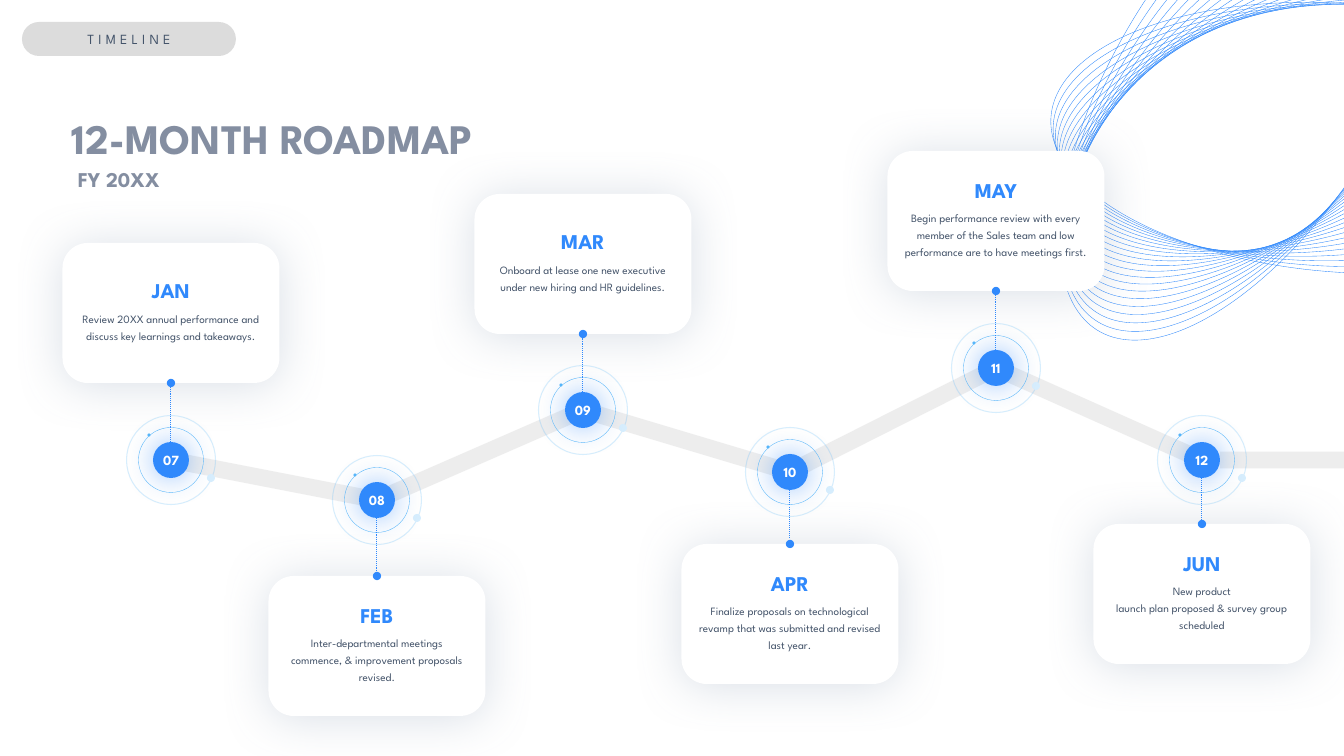
from math import atan2, degrees, hypot

from lxml.etree import SubElement
from pptx import Presentation
from pptx.dml.color import RGBColor
from pptx.enum.dml import MSO_LINE
from pptx.enum.shapes import MSO_CONNECTOR, MSO_SHAPE
from pptx.enum.text import MSO_ANCHOR as Anchor, MSO_AUTO_SIZE as AutoSize, PP_ALIGN as Align
from pptx.oxml.ns import qn
from pptx.util import Emu, Pt

EMU_PER_PX = 914400 / 100.8
FONT = "League Spartan"
BLUE = RGBColor(0x30, 0x89, 0xFC)
SKY = RGBColor(0x58, 0xB8, 0xFA)
PALE = RGBColor(0xD7, 0xEE, 0xFE)
SILVER = RGBColor(0xDC, 0xDC, 0xDC)
SLATE = RGBColor(0x44, 0x54, 0x6A)
HEADING = RGBColor(0x84, 0x8E, 0xA1)
HAZE = RGBColor(0x84, 0x97, 0xB0)
WHITE = RGBColor(0xFF, 0xFF, 0xFF)

CARD_WIDTH, CARD_HEIGHT = 217, 140
DISC = 36

# Number, marker centre x and y, card top, month, lines of text
STOPS = [
    ("07", 171, 460, 243, "JAN",
     ["Review 20XX annual performance and discuss key learnings and takeaways."]),
    ("08", 377, 500, 576, "FEB",
     ["Inter-departmental meetings commence, & improvement proposals revised."]),
    ("09", 583, 410, 194, "MAR",
     ["Onboard at lease one new executive under new hiring and HR guidelines."]),
    ("10", 790, 472, 544, "APR",
     ["Finalize proposals on technological revamp that was submitted and revised last year."]),
    ("11", 996, 368, 151, "MAY",
     ["Begin performance review with every member of the Sales team and low "
      "performance are to have meetings first."]),
    ("12", 1202, 460, 524, "JUN",
     ["New product", "launch plan proposed & survey group scheduled"]),
]


def px(length):
    return Emu(round(length * EMU_PER_PX))


def set_alpha(shape, percent):
    for color in shape.element.spPr.xpath(".//a:ln//a:srgbClr"):
        SubElement(color, qn("a:alpha"), val=str(percent * 1000))


def add_shadow(shape, color, percent, blur, distance=0, angle=0):
    effects = shape.element.spPr.find(qn("a:effectLst"))
    shadow = SubElement(effects, qn("a:outerShdw"), blurRad=str(Pt(blur)), dist=str(Pt(distance)),
                        dir=str(angle * 60000), algn="ctr", rotWithShape="0")
    tint = SubElement(shadow, qn("a:srgbClr"), val=str(color))
    SubElement(tint, qn("a:alpha"), val=str(percent * 1000))


def add_preset(shapes, kind, left, top, width, height, fill=None, line=None, weight=0.25):
    shape = shapes.add_shape(kind, px(left), px(top), px(width), px(height))
    shape.shadow.inherit = False
    if fill is None:
        shape.fill.background()
    else:
        shape.fill.solid()
        shape.fill.fore_color.rgb = fill
    if line is None:
        shape.line.fill.background()
    else:
        shape.line.color.rgb = line
        shape.line.width = Pt(weight)
    return shape


def add_circle(shapes, center_x, center_y, size, **style):
    return add_preset(shapes, MSO_SHAPE.OVAL, center_x - size / 2, center_y - size / 2,
                      size, size, **style)


def add_line(shapes, start, end, color, weight):
    line = shapes.add_connector(MSO_CONNECTOR.STRAIGHT, *map(px, (*start, *end)))
    line.line.color.rgb = color
    line.line.width = Pt(weight)
    SubElement(line.element.spPr, qn("a:effectLst"))
    return line


def prepare_frame(shape, side=0):
    frame = shape.text_frame
    frame.word_wrap = True
    frame.vertical_anchor = Anchor.MIDDLE
    frame.margin_left = frame.margin_right = px(side)
    frame.margin_top = frame.margin_bottom = 0
    return frame


def add_run(para, text, size, color, bold=False):
    run = para.add_run()
    run.text = text
    run.font.name = FONT
    run.font.size = Pt(size)
    run.font.bold = bold
    run.font.color.rgb = color
    return run


def draw_swirl(page, count=22):
    """Fan of ellipses whose centre and half axes move in equal steps."""
    first = (1343, 138, 292, 21, -10, 134)
    last = (1253, 82, 156, -248, 114, 72)
    swirl = page.shapes.add_group_shape().shapes
    for index in range(count):
        part = index / (count - 1)
        x, y, major_x, major_y, minor_x, minor_y = (
            a + (b - a) * part for a, b in zip(first, last))
        major, minor = hypot(major_x, major_y), hypot(minor_x, minor_y)
        ring = add_preset(swirl, MSO_SHAPE.OVAL, x - major, y - minor,
                          2 * major, 2 * minor, line=BLUE)
        ring.rotation = degrees(atan2(major_y, major_x))


def draw_road(page):
    points = [stop[1:3] for stop in STOPS]
    last_x, last_y = points[-1]
    legs = list(zip(points, points[1:]))
    legs.append(((last_x + DISC / 2, last_y), (1344, last_y)))
    for start, end in reversed(legs):
        set_alpha(add_line(page.shapes, start, end, SILVER, 12), 50)


def draw_marker(page, x, y, number):
    marker = page.shapes.add_group_shape().shapes
    halo = add_circle(marker, x, y, 89, line=SKY, weight=0.75)
    set_alpha(halo, 24)
    add_circle(marker, x + 40, y + 18, 8, fill=PALE)
    add_circle(marker, x, y, 65, line=SKY)
    add_circle(marker, x - 22, y - 25, 3, fill=SKY)
    disc = add_circle(marker, x, y, DISC, fill=BLUE)
    add_shadow(disc, BLUE, 50, 21)
    para = prepare_frame(disc).paragraphs[0]
    para.alignment = Align.CENTER
    add_run(para, number, 10, WHITE, bold=True)


def draw_card(page, left, top, month, lines):
    card = add_preset(page.shapes, MSO_SHAPE.ROUNDED_RECTANGLE, left, top,
                      CARD_WIDTH, CARD_HEIGHT, fill=WHITE)
    card.adjustments[0] = 0.18
    add_shadow(card, HAZE, 30, 35, 2, 90)
    frame = prepare_frame(card, side=10)
    title, body = frame.paragraphs[0], frame.add_paragraph()
    title.alignment = body.alignment = Align.CENTER
    title.line_spacing, title.space_after = Pt(14), Pt(4)
    body.line_spacing = Pt(12)
    add_run(title, month, 15, BLUE, bold=True)
    for index, text in enumerate(lines):
        if index:
            body.add_line_break()
        add_run(body, text, 8, SLATE)


def draw_stop(page, number, x, y, card_top, month, lines):
    draw_marker(page, x, y, number)
    draw_card(page, x - CARD_WIDTH / 2, card_top, month, lines)
    # Dotted stem from the disc to the nearest card edge
    if card_top > y:
        start, end = y + DISC / 2, card_top
    else:
        start, end = y - DISC / 2, card_top + CARD_HEIGHT
    stem = add_line(page.shapes, (x, start), (x, end), BLUE, 0.75)
    stem.line.dash_style = MSO_LINE.ROUND_DOT
    SubElement(stem.element.spPr.find(qn("a:ln")), qn("a:tailEnd"), type="oval")


def draw_heading(page, left, top, width, height, text, size, spacing=None):
    box = page.shapes.add_textbox(px(left), px(top), px(width), px(height))
    box.text_frame.word_wrap = True
    box.text_frame.auto_size = AutoSize.SHAPE_TO_FIT_TEXT
    para = box.text_frame.paragraphs[0]
    if spacing:
        para.line_spacing = Pt(spacing)
    add_run(para, text, size, HEADING, bold=True)


def draw_tag(page, left, top, width, height, text):
    tag = add_preset(page.shapes, MSO_SHAPE.ROUNDED_RECTANGLE, left, top, width, height,
                     fill=SILVER)
    tag.adjustments[0] = 0.5
    para = prepare_frame(tag).paragraphs[0]
    para.alignment = Align.CENTER
    run = add_run(para, text, 10, SLATE)
    run.font._element.set("spc", "300")


def main():
    deck = Presentation()
    deck.slide_width, deck.slide_height = px(1344), px(756)
    page = deck.slides.add_slide(deck.slide_layouts[6])
    draw_swirl(page)
    draw_road(page)
    for stop in STOPS:
        draw_stop(page, *stop)
    draw_heading(page, 68, 162, 151, 35, "FY 20XX", 15)
    draw_heading(page, 62, 102, 744, 61, "12-MONTH ROADMAP", 30, spacing=40)
    draw_tag(page, 22, 22, 214, 34, "TIMELINE")
    deck.save("out.pptx")


if __name__ == "__main__":
    main()
